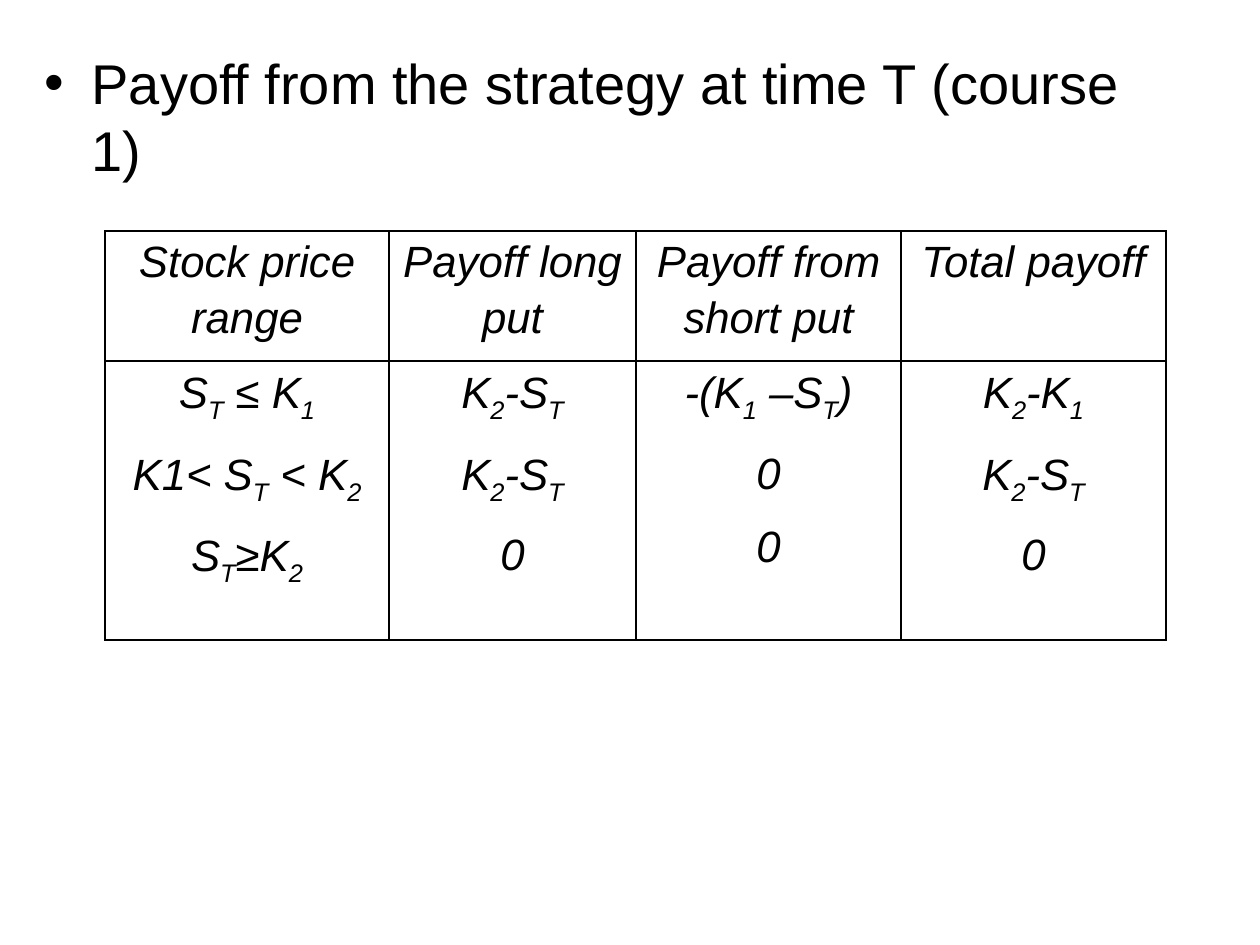
from dataclasses import dataclass
from itertools import product

from lxml import etree
from pptx import Presentation
from pptx.dml.color import RGBColor
from pptx.enum.text import MSO_ANCHOR, PP_ALIGN
from pptx.oxml.ns import qn
from pptx.util import Emu, Pt

EMU_PER_PX = 914400 / 126


@dataclass(frozen=True)
class Theme:
    font: str = "Arial"
    ink: str = "000000"
    paper: str = "FFFFFF"
    heading_size: int = 32
    cell_size: int = 25
    border_width: int = 1


THEME = Theme()

COLUMN_WIDTHS = [284, 247, 265, 265]
ROW_HEIGHTS = [130, 279]
# An underscore lowers the one character after it
PAYOFFS = [
    [["Stock price range"], ["Payoff long put"], ["Payoff from short put"], ["Total payoff"]],
    [
        ["S_T ≤ K_1", "K1< S_T < K_2", "S_T≥K_2"],
        ["K_2-S_T", "K_2-S_T", "0"],
        ["-(K_1 –S_T)", "0", "0"],
        ["K_2-K_1", "K_2-S_T", "0"],
    ],
]


def px(length):
    return Emu(round(length * EMU_PER_PX))


def add_run(paragraph, text, size, italic=False, lowered=False):
    run = paragraph.add_run()
    run.text = text
    font = run.font
    font.name, font.size, font.italic = THEME.font, Pt(size), italic
    font.color.rgb = RGBColor.from_string(THEME.ink)
    if lowered:
        run._r.get_or_add_rPr().set("baseline", "-25000")


def add_formula(paragraph, formula):
    start, *rest = formula.split("_")
    add_run(paragraph, start, THEME.cell_size, italic=True)
    for part in rest:
        add_run(paragraph, part[0], THEME.cell_size, italic=True, lowered=True)
        if part[1:]:
            add_run(paragraph, part[1:], THEME.cell_size, italic=True)


def add_borders(cell):
    properties = cell._tc.get_or_add_tcPr()
    for position, side in enumerate(("lnL", "lnR", "lnT", "lnB")):
        line = etree.Element(qn(f"a:{side}"), w=str(Pt(THEME.border_width)))
        fill = etree.SubElement(line, qn("a:solidFill"))
        etree.SubElement(fill, qn("a:srgbClr"), val=THEME.ink)
        properties.insert(position, line)


def place_heading(body, left, top, width, height):
    body.left, body.top, body.width, body.height = map(px, (left, top, width, height))
    heading = body.text_frame.paragraphs[0]
    properties = heading._p.get_or_add_pPr()
    properties.set("marL", str(px(47)))
    properties.set("indent", str(px(-47)))
    etree.SubElement(properties, qn("a:buFont"), typeface=THEME.font)
    etree.SubElement(properties, qn("a:buChar"), char="•")
    heading.space_before = Pt(0)
    add_run(heading, "Payoff from the strategy at time T (course 1)", THEME.heading_size)


def fill_cell(cell, formulas):
    cell.fill.background()
    cell.vertical_anchor = MSO_ANCHOR.TOP
    cell.margin_left = cell.margin_right = px(9)
    cell.margin_top = cell.margin_bottom = 0
    frame = cell.text_frame
    for index, formula in enumerate(formulas):
        paragraph = frame.add_paragraph() if index else frame.paragraphs[0]
        paragraph.alignment = PP_ALIGN.CENTER
        paragraph.line_spacing = 1.15
        paragraph.space_before = Pt(0)
        paragraph.space_after = Pt(10)
        add_formula(paragraph, formula)
    add_borders(cell)


def add_payoff_table(slide, left, top):
    rows, columns = len(ROW_HEIGHTS), len(COLUMN_WIDTHS)
    box = map(px, (left, top, sum(COLUMN_WIDTHS), sum(ROW_HEIGHTS)))
    payoff_table = slide.shapes.add_table(rows, columns, *box).table
    payoff_table.first_row = payoff_table.horz_banding = False
    for column, width in zip(payoff_table.columns, COLUMN_WIDTHS):
        column.width = px(width)
    for row, height in zip(payoff_table.rows, ROW_HEIGHTS):
        row.height = px(height)
    for row, column in product(range(rows), range(columns)):
        fill_cell(payoff_table.cell(row, column), PAYOFFS[row][column])


def main():
    deck = Presentation()
    deck.slide_width, deck.slide_height = px(1260), px(945)
    slide = deck.slides.add_slide(deck.slide_layouts[1])
    background = slide.background.fill
    background.solid()
    background.fore_color.rgb = RGBColor.from_string(THEME.paper)

    # The slide has no title, only a bulleted heading
    title = slide.shapes.title
    title.element.getparent().remove(title.element)
    place_heading(slide.placeholders[1], 32, 42, 1165, 803)

    # Payoffs by stock price range
    add_payoff_table(slide, 105, 231)
    deck.save("out.pptx")


if __name__ == "__main__":
    main()
